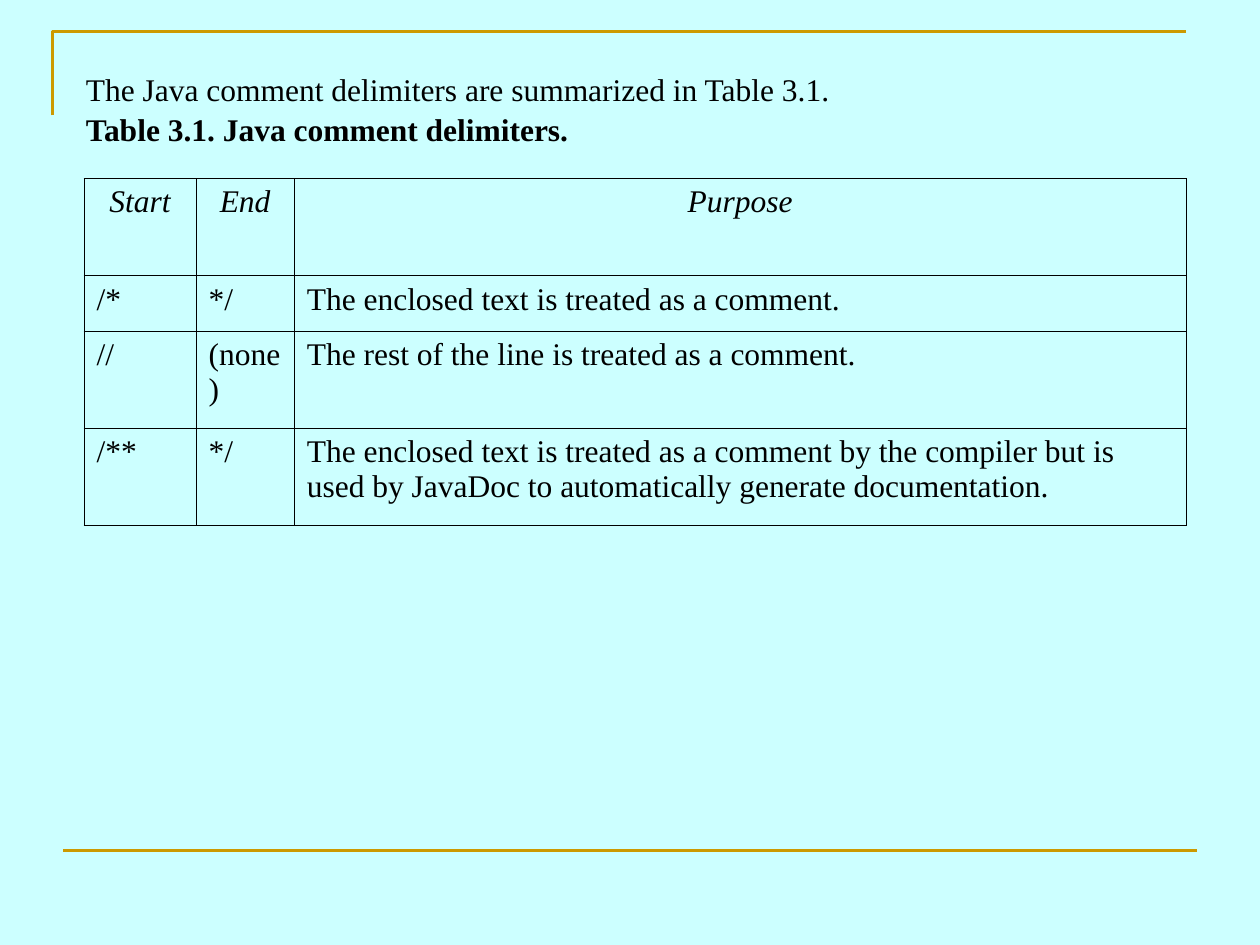
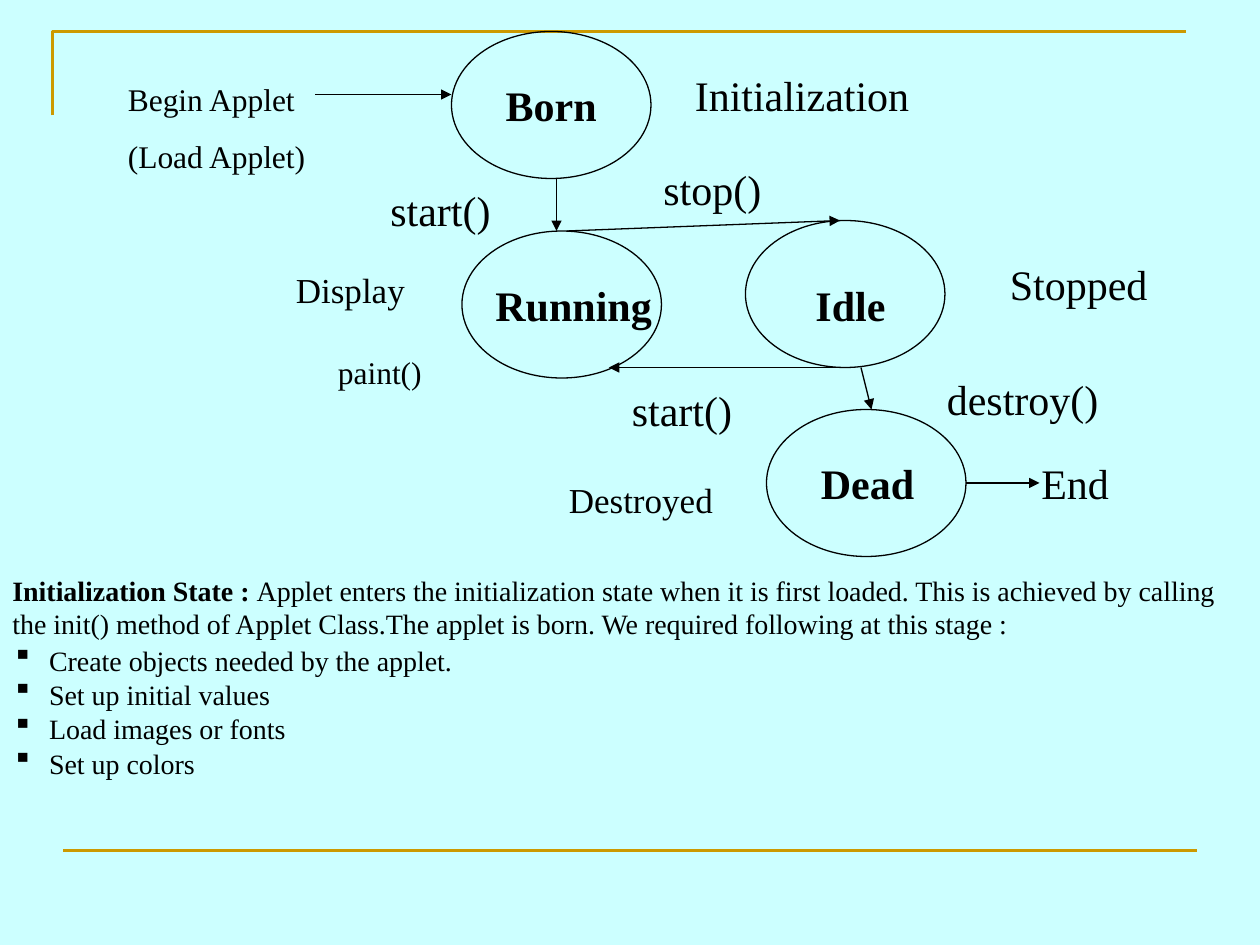
from lxml.etree import SubElement as Sub
from pptx import Presentation
from pptx.dml.color import RGBColor
from pptx.enum.shapes import MSO_CONNECTOR as Link, MSO_SHAPE as Shape
from pptx.enum.text import PP_ALIGN as Align
from pptx.oxml import parse_xml
from pptx.oxml.ns import nsdecls, qn
from pptx.util import Cm, Pt

SKY = RGBColor(0xCC, 0xFF, 0xFF)
GOLD = RGBColor(0xCC, 0x99, 0x00)
BLACK = RGBColor(0, 0, 0)
FACE = "Times New Roman"
STEP = 2.54 / 12


def add_line(slide, x1, y1, x2, y2, tint, width, arrow=False):
    ends = [Cm(n * STEP) for n in (x1, y1, x2, y2)]
    line = slide.shapes.add_connector(Link.STRAIGHT, *ends)
    line.line.color.rgb = tint
    line.line.width = Pt(width)
    if arrow:
        Sub(line.line._get_or_add_ln(), qn("a:tailEnd"), type="triangle")
    Sub(line._element.spPr, qn("a:effectLst"))


def add_text(slide, x, y, w, h, rows, size, gap=0, bold=False):
    box = slide.shapes.add_textbox(*[Cm(n * STEP) for n in (x, y, w, h)])
    frame = box.text_frame
    frame.word_wrap = True
    frame.text = "\n".join(rows)
    for i, para in enumerate(frame.paragraphs):
        if i:
            para.space_before = Pt(gap)
        para.font.name = FACE
        para.font.size = Pt(size)
        para.font.bold = bold
        para.font.color.rgb = BLACK
    return frame.paragraphs


deck = Presentation()
deck.slide_width = Cm(25.4)
deck.slide_height = Cm(19.05)
back = deck.slide_master.background.fill
back.solid()
back.fore_color.rgb = SKY

pages = [deck.slides.add_slide(deck.slide_layouts[6]) for _ in range(2)]
for page in pages:
    pen = page.shapes.build_freeform(Cm(5 * STEP), Cm(11 * STEP))
    pen.add_line_segments(
        [(Cm(x * STEP), Cm(y * STEP)) for x, y in ((5, 3), (113, 3))], close=False)
    edge = pen.convert_to_shape()
    edge.shadow.inherit = False
    edge.fill.background()
    edge.line.color.rgb = GOLD
    edge.line.width = Pt(1.5)
    add_line(page, 6, 81, 114, 81, GOLD, 1.5)

first, second = pages

intro = add_text(first, 7, 6.1, 94, 8, [
    "The Java comment delimiters are summarized in Table 3.1.",
    "Table 3.1. Java comment delimiters."], 18, 1)
intro[1].font.bold = True

cells = [
    ("Start", "End", "Purpose"),
    ("/*", "*/", "The enclosed text is treated as a comment."),
    ("//", "(none)", "The rest of the line is treated as a comment."),
    ("/**", "*/", "The enclosed text is treated as a comment by the compiler but is "
     "used by JavaDoc to automatically generate documentation."),
]
widths = (2.26, 1.98, 17.98)
heights = (1.96, 1.12, 1.96, 1.96)
grid = first.shapes.add_table(4, 3, Cm(8 * STEP), Cm(17 * STEP),
                              Cm(sum(widths)), Cm(sum(heights))).table
grid.first_row = False
grid.horz_banding = False
for col, width in zip(grid.columns, widths):
    col.width = Cm(width)
for r, row in enumerate(cells):
    grid.rows[r].height = Cm(heights[r])
    for c, words in enumerate(row):
        cell = grid.cell(r, c)
        cell.text = words
        cell.fill.background()
        para = cell.text_frame.paragraphs[0]
        para.font.name = FACE
        para.font.size = Pt(18)
        para.font.color.rgb = BLACK
        if r == 0:
            para.alignment = Align.CENTER
            para.font.italic = True
        for i, side in enumerate("LRTB"):
            cell._tc.tcPr.insert(i, parse_xml(
                f'<a:ln{side} {nsdecls("a")} w="{Pt(0.45)}"><a:solidFill>'
                f'<a:srgbClr val="{BLACK}"/></a:solidFill></a:ln{side}>'))

for x, y in ((71, 21), (43, 3), (73, 39), (44, 22)):
    oval = second.shapes.add_shape(
        Shape.OVAL, *[Cm(n * STEP) for n in (x, y, 19, 14)])
    oval.shadow.inherit = False
    oval.fill.background()
    oval.line.color.rgb = BLACK
    oval.line.width = Pt(0.75)

for ends in ((53, 17, 53, 22), (54, 22, 80, 21), (81, 35, 58, 35),
             (82, 35, 83, 39), (30, 9, 43, 9), (92, 46, 99, 46)):
    add_line(second, *ends, BLACK, 0.75, arrow=True)

for name, x, y, width, mid in (
        ("Born", 46, 7, 13, True), ("Running", 46, 26, 18, False),
        ("Idle", 74, 26, 14, True), ("Dead", 77, 43, 12, False)):
    state = add_text(second, x, y, width, 6, [name], 24, bold=True)
    if mid:
        state[0].alignment = Align.CENTER

for words, x, y, width, size in (
        ("Initialization", 65, 6, 24, 24), ("start()", 36, 17, 16, 24),
        ("stop()", 62, 15, 16, 24), ("start()", 59, 36, 16, 24),
        ("paint()", 31, 33, 13, 18), ("Display", 27, 25, 17, 20),
        ("Stopped", 95, 24, 18, 24), ("destroy()", 89, 35, 24, 24),
        ("End", 98, 43, 17, 24), ("Destroyed", 53, 45, 18, 20)):
    add_text(second, x, y, width, size / 4, [words], size)
add_text(second, 11, 7, 23, 10, ["Begin Applet", "(Load Applet)"], 18, 11.2)

notes = add_text(second, 0, 54, 120, 21, [
    "", "Create objects needed by the applet.", "Set up initial values",
    "Load images or fonts", "Set up colors"], 16, 10)
lead = notes[0].add_run()
lead.text = "Initialization State : "
lead.font.bold = True
notes[0].add_run().text = (
    "Applet enters the initialization state when it is first loaded. This is achieved "
    "by calling the init() method of Applet Class.The applet is born. We required "
    "following at this stage :")
for item in notes[1:]:
    item.line_spacing = 0.5
    props = item._p.get_or_add_pPr()
    props.set("marL", str(Cm(0.74)))
    props.set("indent", str(-Cm(0.74)))
    mark = parse_xml(f'<a:buChar {nsdecls("a")} char="▪"/>')
    props.find(qn("a:defRPr")).addprevious(mark)

deck.save("out.pptx")
